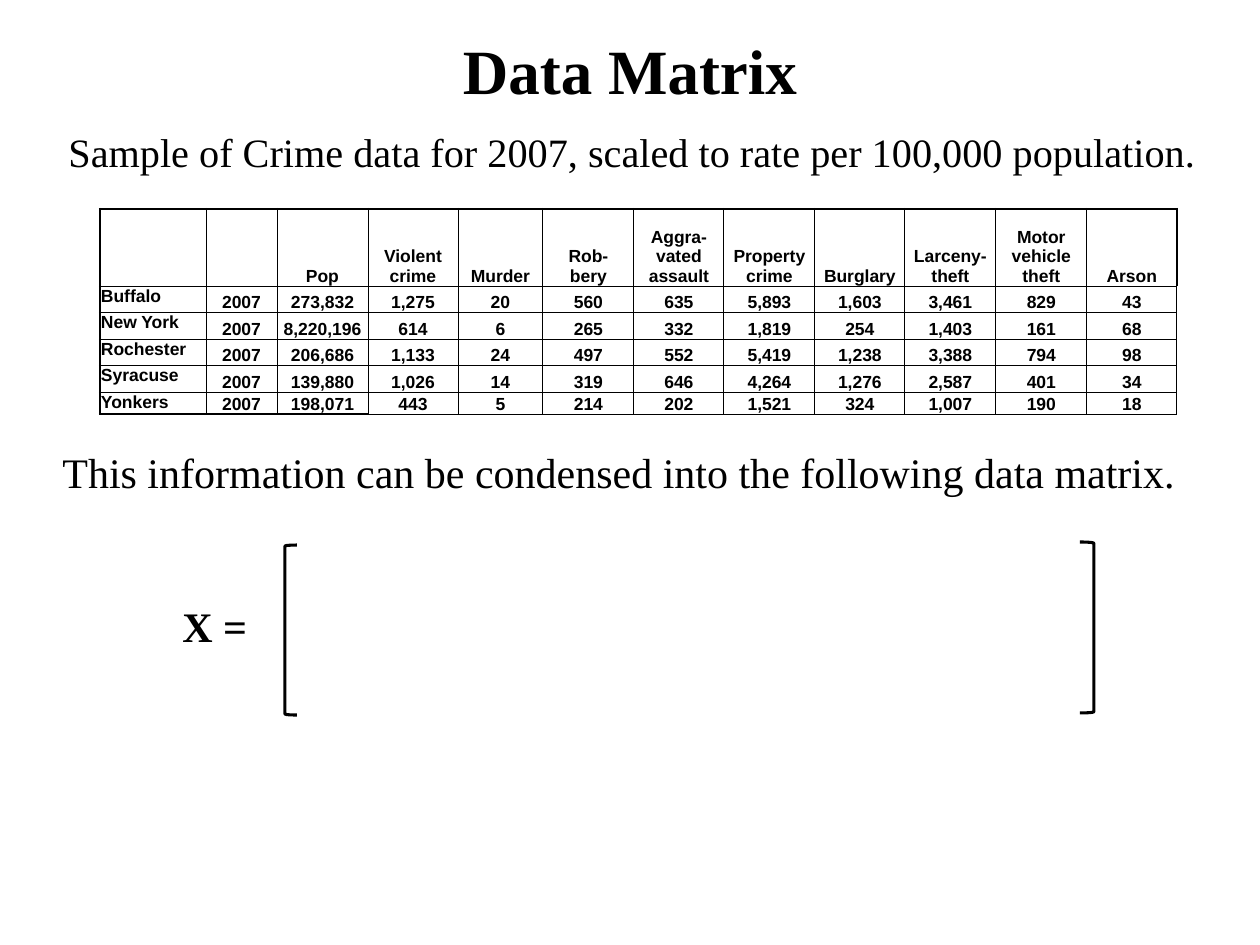
import pptx
import pptx.dml.color
import pptx.enum.shapes
import pptx.enum.text
import pptx.util
from lxml import etree

BLACK = pptx.dml.color.RGBColor(0, 0, 0)
WHITE = pptx.dml.color.RGBColor(255, 255, 255)
SERIF, SANS = "Times New Roman", "Arial"
ALIGN = pptx.enum.text.PP_ALIGN
ANCHOR = pptx.enum.text.MSO_ANCHOR
SHAPE = pptx.enum.shapes.MSO_SHAPE
NS = "http://schemas.openxmlformats.org/drawingml/2006/main"
THIN, THICK = 0.5, 1.5

HEADERS = ["", "", "Pop", "Violent\vcrime", "Murder", "Rob-\vbery",
           "Aggra-\vvated\vassault", "Property\vcrime", "Burglary",
           "Larceny-\vtheft", "Motor\vvehicle\vtheft", "Arson"]
CRIME_ROWS = [
    "Buffalo|2007|273,832|1,275|20|560|635|5,893|1,603|3,461|829|43",
    "New York|2007|8,220,196|614|6|265|332|1,819|254|1,403|161|68",
    "Rochester|2007|206,686|1,133|24|497|552|5,419|1,238|3,388|794|98",
    "Syracuse|2007|139,880|1,026|14|319|646|4,264|1,276|2,587|401|34",
    "Yonkers|2007|198,071|443|5|214|202|1,521|324|1,007|190|18",
]
COL_WIDTHS = [106, 71, 91, 90, 85, 91, 90, 91, 90, 91, 91, 90]
ROW_HEIGHTS = [77, 26, 27, 26, 27, 20]


def px(n):
    """Turn picture pixels into EMU."""
    return pptx.util.Emu(round(n * 914400 / 126))


class SlideBuilder:
    """Holds the style and the current slide."""

    def __init__(self, slide):
        """Keep the slide to draw on."""
        self.slide = slide

    def style(self, p, size, font, bold, align):
        """Set the font and alignment of a paragraph."""
        p.alignment = align
        p.font.size = pptx.util.Pt(size)
        p.font.name = font
        p.font.bold = bold
        p.font.color.rgb = BLACK

    def text(self, box, words, size, bold=False, align=ALIGN.LEFT,
             anchor=ANCHOR.TOP, before=0):
        """Add a one-paragraph text box."""
        tf = self.slide.shapes.add_textbox(*map(px, box)).text_frame
        tf.word_wrap = True
        tf.vertical_anchor = anchor
        p = tf.paragraphs[0]
        p.text = words
        p.space_before = pptx.util.Pt(before)
        self.style(p, size, SERIF, bold, align)

    def bracket(self, kind, box):
        """Add one bracket of the matrix."""
        sp = self.slide.shapes.add_shape(kind, *map(px, box))
        sp.shadow.inherit = False
        sp.fill.solid()
        sp.fill.fore_color.rgb = WHITE
        sp.line.color.rgb = BLACK
        sp.line.width = pptx.util.Pt(1.75)

    def borders(self, cell, **widths):
        """Draw the cell's borders, given as side=points."""
        tc_pr = cell._tc.get_or_add_tcPr()
        for side in "LRTB":
            ln = etree.SubElement(tc_pr, f"{{{NS}}}ln{side}",
                                  w=str(pptx.util.Pt(widths[side])))
            fill = etree.SubElement(ln, f"{{{NS}}}solidFill")
            etree.SubElement(fill, f"{{{NS}}}srgbClr", val=str(BLACK))

    def table(self, left, top, rows, widths, heights):
        """Add the crime table."""
        frame = self.slide.shapes.add_table(
            len(rows), len(widths), px(left), px(top),
            px(sum(widths)), px(sum(heights)))
        table = frame.table
        table.first_row = table.horz_banding = False
        for col, width in zip(table.columns, widths):
            col.width = px(width)
        for row, height in zip(table.rows, heights):
            row.height = px(height)
        last_row, last_col = len(rows) - 1, len(widths) - 1
        for i, row in enumerate(rows):
            for j, words in enumerate(row):
                cell = table.cell(i, j)
                is_city = i > 0 and j == 0
                cell.margin_left = cell.margin_right = cell.margin_top = px(1)
                cell.margin_bottom = 0
                cell.vertical_anchor = ANCHOR.TOP if is_city else ANCHOR.BOTTOM
                p = cell.text_frame.paragraphs[0]
                p.text = words
                self.style(p, 10, SANS, True,
                           ALIGN.LEFT if is_city else ALIGN.CENTER)
                self.borders(
                    cell,
                    L=THICK if j == 0 else THIN,
                    R=THICK if i == 0 and j == last_col else THIN,
                    T=THICK if i == 0 else THIN,
                    B=THICK if i == last_row and j < 3 else THIN)
                cell.fill.background()


def main():
    """Build the slide and save it."""
    prs = pptx.Presentation()
    prs.slide_width, prs.slide_height = px(1260), px(945)
    b = SlideBuilder(prs.slides.add_slide(prs.slide_layouts[6]))
    b.text((63, 21, 1134, 96), "Data Matrix", 36, bold=True,
           align=ALIGN.CENTER, anchor=ANCHOR.MIDDLE)
    b.table(100, 209, [HEADERS] + [row.split("|") for row in CRIME_ROWS],
            COL_WIDTHS, ROW_HEIGHTS)
    b.text((56, 121, 1192, 74), "Sample of Crime data for 2007, "
           "scaled to rate per 100,000 population.", 23, before=4)
    b.bracket(SHAPE.LEFT_BRACKET, (285, 545, 12, 170))
    b.bracket(SHAPE.RIGHT_BRACKET, (1080, 542, 14, 171))
    b.text((50, 440, 1191, 74), "This information can be condensed into "
           "the following data matrix.", 24, before=4)
    b.text((170, 594, 102, 63), "X =", 24, bold=True)
    prs.save("out.pptx")


main()
